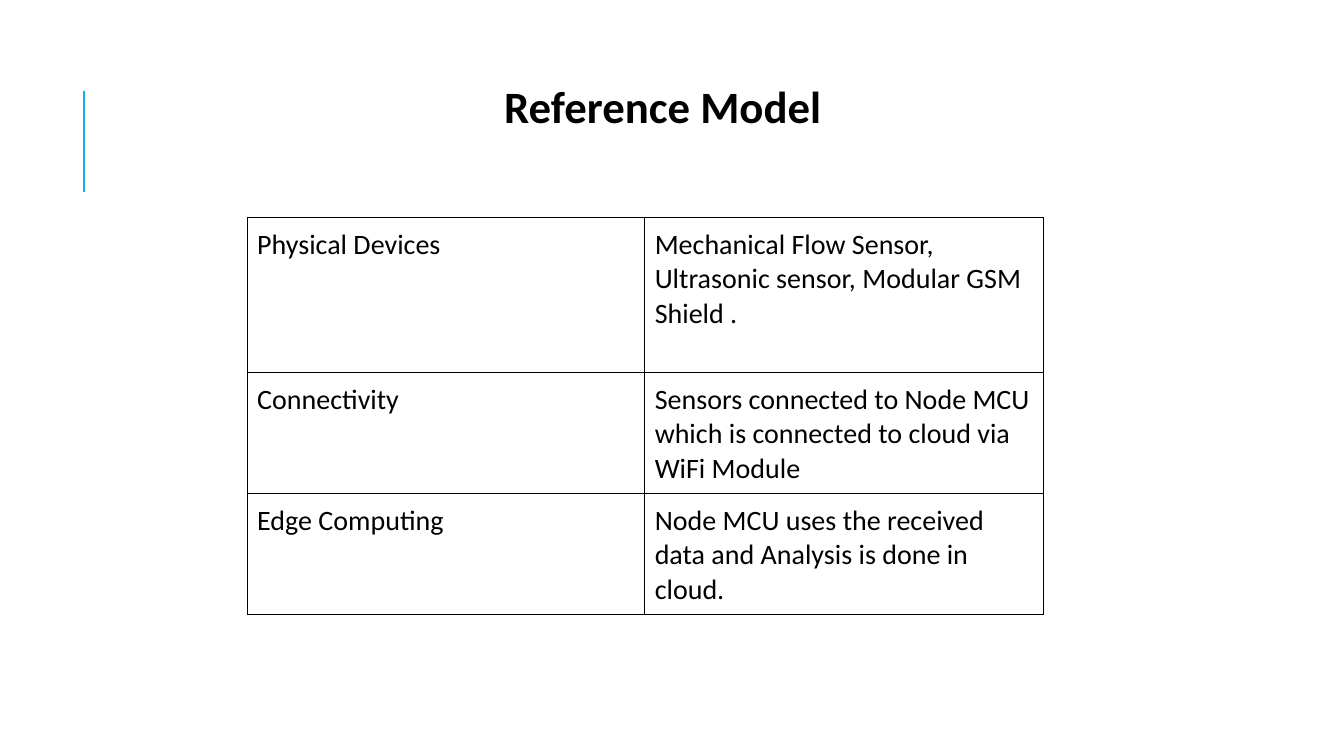
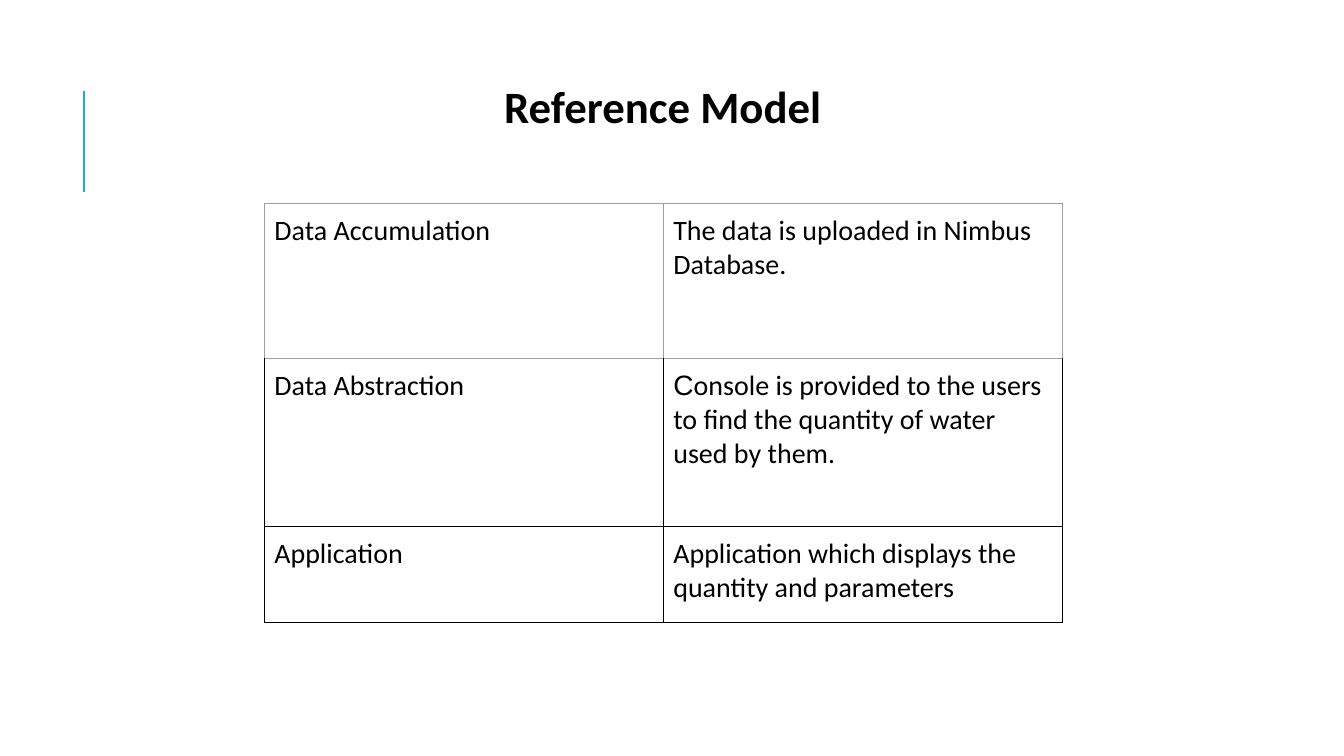
import pptx
import pptx.util
import pptx.dml.color
import pptx.enum.shapes
import pptx.enum.text
import pptx.oxml
import pptx.oxml.ns
import lxml.etree

Pt = pptx.util.Pt
HUES = {"text": "000000", "rule": "1CADE4", "grid": "000000", "soft": "9E9E9E"}
FONT = "Calibri"
PAD = Pt(7.2)

# Each page: table place, column widths, row heights, soft-edged rows, cell texts
PAGES = [
    {"left": 176.5, "top": 155.5, "cols": [284, 285], "rows": [110.7, 86, 86],
     "soft": 0, "cells": [
        ("Physical Devices",
         "Mechanical Flow Sensor, Ultrasonic sensor, Modular GSM Shield ."),
        ("Connectivity",
         "Sensors connected to Node MCU which is connected to cloud via WiFi Module"),
        ("Edge Computing",
         "Node MCU uses the received data and Analysis is done in cloud.")]},
    {"left": 188.75, "top": 145.25, "cols": [285, 285], "rows": [110.7, 120.2, 68.6],
     "soft": 1, "cells": [
        ("Data Accumulation",
         "The data is uploaded in Nimbus Database."),
        ("Data Abstraction",
         [("C", "Arial"),
          ("onsole is provided to the users to find the quantity of water used by them.",
           FONT)]),
        ("Application",
         "Application which displays the quantity and parameters")]},
]


def add_run(para, text, size, bold=False, face=FONT):
    run = para.add_run()
    run.text = text
    run.font.name = face
    run.font.size = Pt(size)
    run.font.bold = bold
    run.font.color.rgb = pptx.dml.color.RGBColor.from_string(HUES["text"])


def add_edge(cell, side, hue, width):
    props = cell._tc.get_or_add_tcPr()
    edge = lxml.etree.SubElement(props, pptx.oxml.ns.qn("a:" + side), w=str(Pt(width)))
    fill = lxml.etree.SubElement(edge, pptx.oxml.ns.qn("a:solidFill"))
    lxml.etree.SubElement(fill, pptx.oxml.ns.qn("a:srgbClr"), val=HUES[hue])


deck = pptx.Presentation()
deck.slide_width = Pt(960)
deck.slide_height = Pt(540)

for page in PAGES:
    slide = deck.slides.add_slide(deck.slide_layouts[6])

    # Accent rule
    rule = slide.shapes.add_connector(
        pptx.enum.shapes.MSO_CONNECTOR.STRAIGHT, Pt(60), Pt(137), Pt(60), Pt(65))
    rule.line.color.rgb = pptx.dml.color.RGBColor.from_string(HUES["rule"])
    rule.line.width = Pt(1.5)
    lxml.etree.SubElement(rule._element.spPr, pptx.oxml.ns.qn("a:effectLst"))

    # Title
    title = slide.shapes.add_textbox(Pt(202), Pt(52.5), Pt(543), Pt(46))
    title.text_frame.word_wrap = True
    para = title.text_frame.paragraphs[0]
    para.alignment = pptx.enum.text.PP_ALIGN.CENTER
    add_run(para, "Reference Model", 32, bold=True)

    # Table
    frame = slide.shapes.add_table(
        len(page["rows"]), len(page["cols"]), Pt(page["left"]), Pt(page["top"]),
        Pt(sum(page["cols"])), Pt(sum(page["rows"])))
    table = frame.table
    table.first_row = False
    table.horz_banding = False
    for col, width in zip(table.columns, page["cols"]):
        col.width = Pt(width)
    for row, height in zip(table.rows, page["rows"]):
        row.height = Pt(height)

    # Cells: edges come before the fill in the XML
    for r, texts in enumerate(page["cells"]):
        for c, text in enumerate(texts):
            cell = table.cell(r, c)
            cell.margin_left = cell.margin_right = PAD
            cell.margin_top = cell.margin_bottom = PAD
            for side in ("lnL", "lnR", "lnT", "lnB"):
                soft = r < page["soft"] or (side == "lnT" and 0 < r == page["soft"])
                add_edge(cell, side, *(("soft", 0.75) if soft else ("grid", 1)))
            cell.fill.background()
            parts = [(text, FONT)] if isinstance(text, str) else text
            for part, face in parts:
                add_run(cell.text_frame.paragraphs[0], part, 20, face=face)

deck.save("out.pptx")
